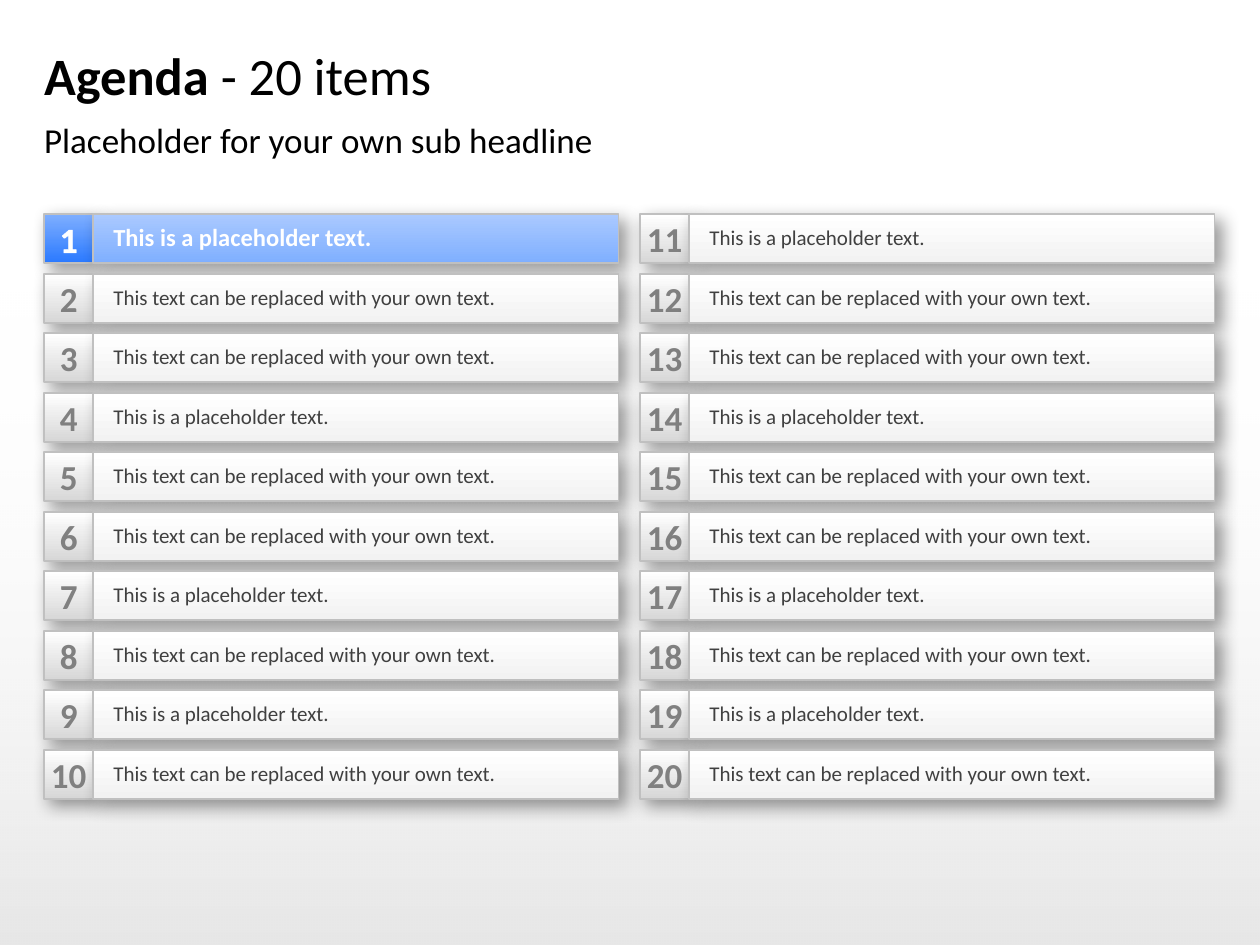
from lxml import etree
from pptx import Presentation
from pptx import util as u
from pptx.dml.color import RGBColor
from pptx.enum import shapes, text
from pptx.oxml import ns

FONT = "Calibri"
COLORS = {
    "black": "000000",
    "white": "FFFFFF",
    "border": "C0C0C0",
    "number": "808080",
    "label": "404040",
    "silver": "D7D7D7",
    "mist": "F2F2F2",
    "blue": "2A79FF",
    "sky": "7FAFFF",
    "pale": "AAC9FF",
}
SHORT = "This is a placeholder text."
LONG = "This text can be replaced with your own text."
LABELS = [SHORT, LONG, LONG, SHORT, LONG, LONG, SHORT, LONG, SHORT, LONG]
COLUMNS = 2
LEFT, TOP = 0.35, 1.7
TILE, BAR = 0.39, 4.17
COLUMN_PITCH = 4.73
ROW_PITCH = 4.25 / 9
UPWARD, DOWNWARD = 90, 270


def color(name):
    return RGBColor.from_string(COLORS[name])


def add_node(parent, tag, **attributes):
    return etree.SubElement(parent, ns.qn(tag), attributes)


def add_span(para, words, size, tint, bold=False):
    span = para.add_run()
    span.text = words
    span.font.name = FONT
    span.font.size = u.Pt(size)
    span.font.bold = bold
    span.font.color.rgb = color(tint)
    return span


def set_frame(box, insets=(0, 0, 0, 0), anchor=text.MSO_ANCHOR.MIDDLE):
    frame = box.text_frame
    frame.word_wrap = True
    frame.auto_size = text.MSO_AUTO_SIZE.NONE
    frame.vertical_anchor = anchor
    (frame.margin_left, frame.margin_top,
     frame.margin_right, frame.margin_bottom) = map(u.Inches, insets)
    return frame.paragraphs[0]


def add_gradient_box(parent, left, top, width, height, tints, angle):
    box = parent.shapes.add_shape(
        shapes.MSO_SHAPE.RECTANGLE, *map(u.Inches, (left, top, width, height)))
    box.shadow.inherit = False
    box.fill.gradient()
    box.fill.gradient_angle = angle
    for stop, tint in zip(box.fill.gradient_stops, tints):
        stop.color.rgb = color(tint)
    return box


def add_backdrop(page):
    box = add_gradient_box(page, 0, 2.21, 10, 5.29, ("black", "white"), UPWARD)
    box.line.fill.background()
    stops = box.element.spPr.iter(ns.qn("a:srgbClr"))
    for stop, alpha in zip(stops, ("10000", "0")):
        add_node(stop, "a:alpha", val=alpha)
    page.shapes.element.insert(2, box.element)


def add_panel(group, left, top, width, tints, angle):
    box = add_gradient_box(group, left, top, width, TILE, tints, angle)
    box.line.color.rgb = color("border")
    box.line.width = u.Pt(1)
    effects = box.element.spPr.find(ns.qn("a:effectLst"))
    shadow = add_node(effects, "a:outerShdw", blurRad=str(u.Pt(10)),
                      dist=str(u.Pt(5)), dir="2700000", algn="tl", rotWithShape="0")
    shade = add_node(shadow, "a:srgbClr", val=COLORS["black"])
    add_node(shade, "a:alpha", val="40000")
    return box


def outline_span(span, tint):
    line = etree.Element(ns.qn("a:ln"), w=str(u.Pt(0.75)))
    fill = add_node(line, "a:solidFill")
    add_node(fill, "a:srgbClr", val=COLORS[tint])
    span.font._element.insert(0, line)


def add_item(page, number, label, left, top, active=False):
    group = page.shapes.add_group_shape()
    tile = add_panel(group, left, top, TILE,
                     ("blue", "sky") if active else ("silver", "white"), UPWARD)
    para = set_frame(tile)
    para.alignment = text.PP_ALIGN.CENTER
    span = add_span(para, str(number), 20, "white" if active else "number", bold=True)
    if active:
        outline_span(span, "white")

    bar = add_panel(group, left + TILE, top, BAR,
                    ("pale", "sky") if active else ("white", "mist"), DOWNWARD)
    para = set_frame(bar, (0.16, 0, 0, 0) if active else (0.16, 0.04, 0.24, 0.04))
    para.alignment = text.PP_ALIGN.LEFT
    para.line_spacing = 0.9
    add_span(para, label, 14 if active else 12, "white" if active else "label", bold=active)


def add_headlines(page):
    title = page.shapes.title
    title.left, title.top, title.width, title.height = map(
        u.Inches, (LEFT, 0.26, 9.29, 0.67))
    para = set_frame(title)
    para.alignment = text.PP_ALIGN.LEFT
    add_span(para, "Agenda ", 30, "black", bold=True)
    add_span(para, "- 20 items", 30, "black")

    subtitle = page.shapes.add_textbox(*map(u.Inches, (LEFT, 0.94, 9.29, 0.37)))
    para = set_frame(subtitle, anchor=text.MSO_ANCHOR.TOP)
    add_span(para, "Placeholder for your own sub headline", 20, "black")


def main():
    deck = Presentation()
    deck.slide_width, deck.slide_height = u.Inches(10), u.Inches(7.5)
    page = deck.slides.add_slide(deck.slide_layouts[5])
    page.background.fill.solid()
    page.background.fill.fore_color.rgb = color("white")
    add_backdrop(page)
    add_headlines(page)
    for row, label in enumerate(LABELS):
        for column in range(COLUMNS):
            number = column * len(LABELS) + row + 1
            add_item(page, number, label, LEFT + column * COLUMN_PITCH,
                     TOP + row * ROW_PITCH, active=number == 1)
    deck.save("out.pptx")


if __name__ == "__main__":
    main()
